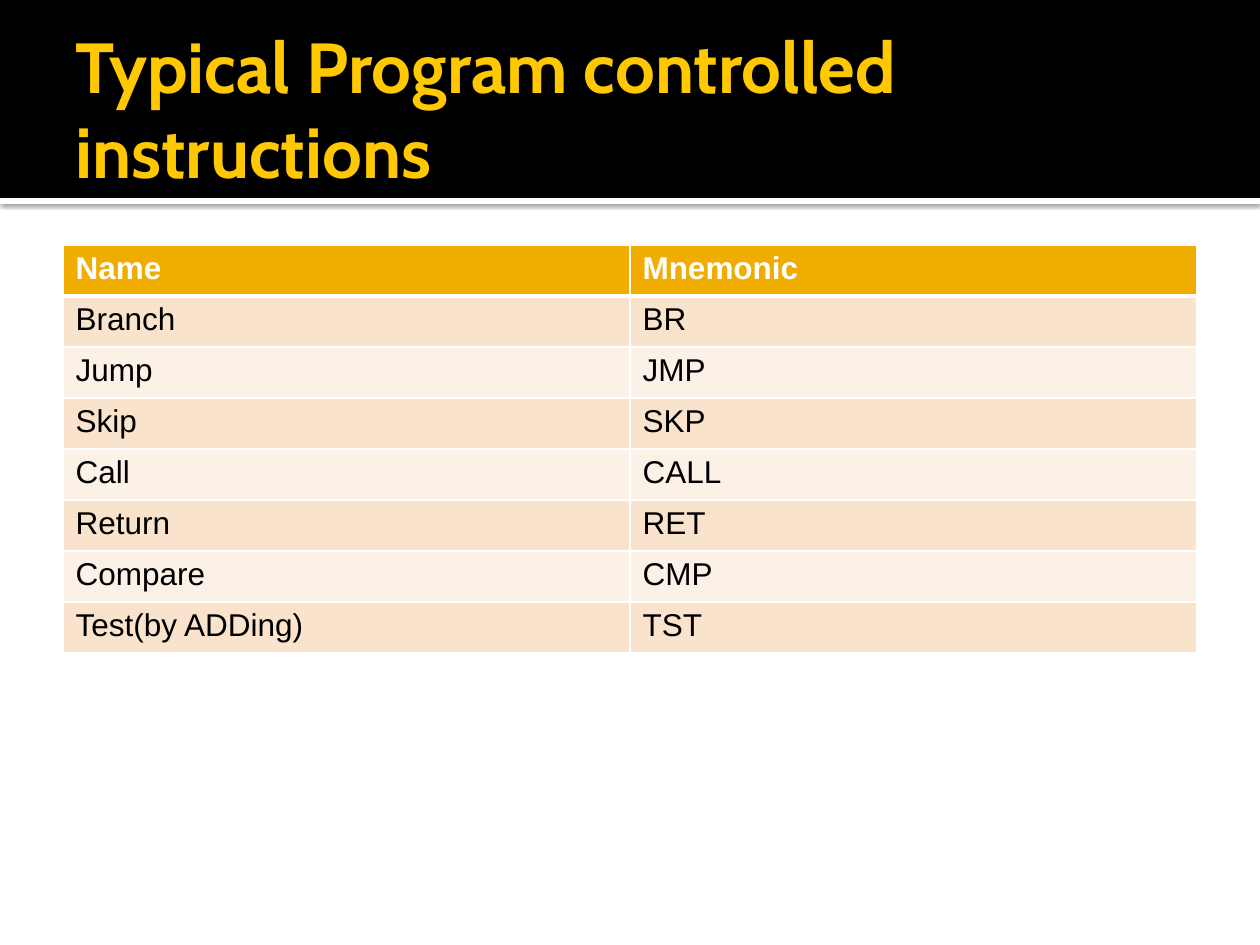
from dataclasses import dataclass
from lxml.etree import SubElement
from pptx import Presentation
from pptx.dml.color import RGBColor as RGB
from pptx.enum.shapes import MSO_SHAPE as Shape
from pptx.enum.text import MSO_ANCHOR as Anchor
from pptx.oxml import parse_xml
from pptx.oxml.ns import nsdecls, qn
from pptx.util import Pt


@dataclass(frozen=True)
class Theme:
    white: str = "FFFFFF"
    black: str = "000000"
    gold: str = "FFC800"
    head: str = "F0AD00"
    odd: str = "F9E3CC"
    even: str = "FCF1E7"
    title: float = 40.5
    body: int = 18


def px(n):
    return round(n * 914400 / 126)


def style(para, size, name, color, bold):
    font = para.font
    font.size, font.name, font.bold = Pt(size), name, bold
    font.color.rgb = RGB.from_string(color)


theme = Theme()
deck = Presentation()
deck.slide_width, deck.slide_height = px(1260), px(945)
slide = deck.slides.add_slide(deck.slide_layouts[6])
shapes = slide.shapes

for top, high, color in ((198, 6, theme.white), (0, 198, theme.black)):
    band = shapes.add_shape(Shape.RECTANGLE, 0, px(top), px(1260), px(high))
    band.shadow.inherit = False
    band.fill.solid()
    band.fill.fore_color.rgb = RGB.from_string(color)
    band.line.fill.background()
    if color == theme.white:
        glow = band._element.spPr.find(qn("a:effectLst"))
        glow.append(parse_xml(
            f'<a:outerShdw {nsdecls("a")} blurRad="{Pt(2.5)}" dist="{Pt(0.8)}" '
            f'dir="5400000" rotWithShape="0"><a:srgbClr val="{theme.black}">'
            '<a:alpha val="60000"/></a:srgbClr></a:outerShdw>'))

title = shapes.add_textbox(px(63), px(21), px(1134), px(173))
frame = title.text_frame
frame.word_wrap = True
frame.vertical_anchor = Anchor.MIDDLE
frame.margin_right = frame.margin_top
frame.text = "Typical Program controlled instructions"
style(frame.paragraphs[0], theme.title, "Cabin", theme.gold, True)

rows = (
    ("Name", "Mnemonic"),
    ("Branch", "BR"),
    ("Jump", "JMP"),
    ("Skip", "SKP"),
    ("Call", "CALL"),
    ("Return", "RET"),
    ("Compare", "CMP"),
    ("Test(by ADDing)", "TST"),
)
table = shapes.add_table(len(rows), 2, px(63), px(245), px(1134), px(51 * len(rows))).table
for r, row in enumerate(rows):
    table.rows[r].height = px(51)
    fill = theme.head if r == 0 else theme.odd if r % 2 else theme.even
    ink = theme.black if r else theme.white
    for c, text in enumerate(row):
        cell = table.cell(r, c)
        cell.text = text
        style(cell.text_frame.paragraphs[0], theme.body, "Arial", ink, r == 0)
        props = cell._tc.get_or_add_tcPr()
        for side in ("lnL", "lnR", "lnT", "lnB"):
            thick = (r, side) in ((0, "lnB"), (1, "lnT"))
            line = SubElement(props, qn(f"a:{side}"), w=str(Pt(3 if thick else 1)))
            paint = SubElement(line, qn("a:solidFill"))
            SubElement(paint, qn("a:srgbClr"), val=theme.white)
        cell.fill.solid()
        cell.fill.fore_color.rgb = RGB.from_string(fill)

deck.save("out.pptx")
